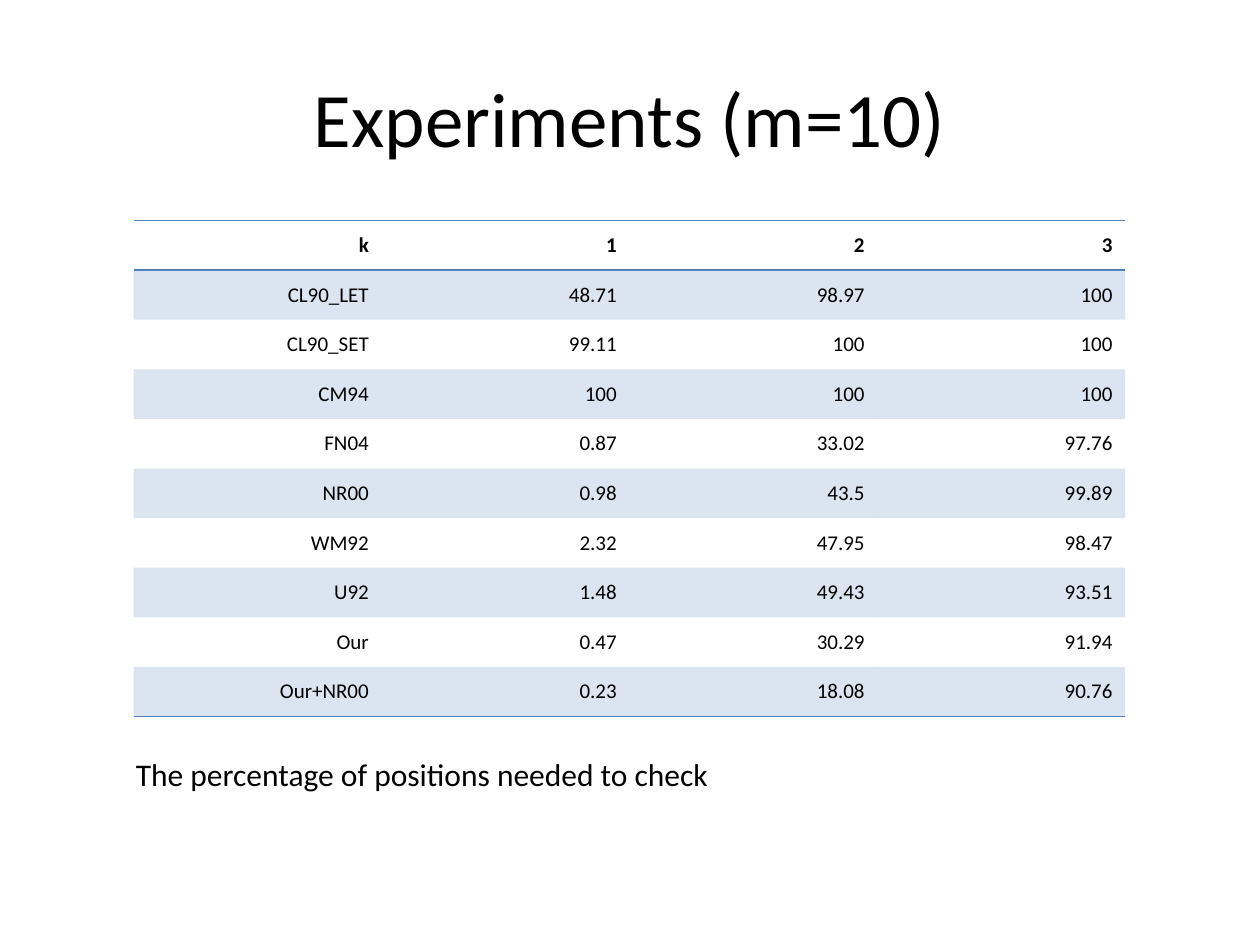
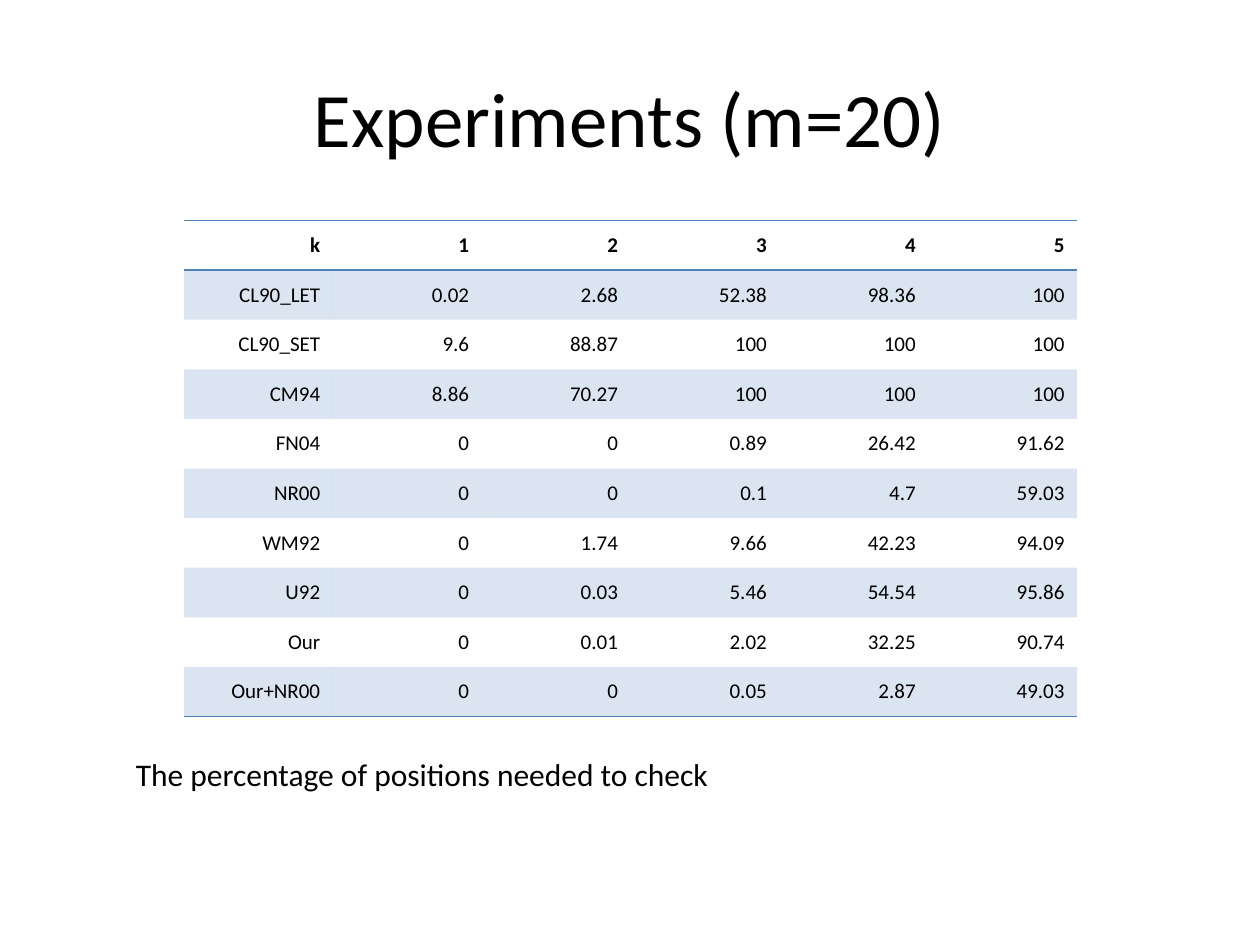
import pptx
import pptx.util
import pptx.dml.color
import pptx.enum.text
import pptx.oxml
import pptx.oxml.ns
from pptx.util import Inches

COLORS = {"text": "000000", "accent": "4F81BD"}
FONT = "Calibri"
BAND_ALPHA = 20  # percent
PLAIN_STYLE = "{2D5ABB26-0587-4C30-8999-92F81FD0307C}"
PP_ALIGN = pptx.enum.text.PP_ALIGN
MSO_ANCHOR = pptx.enum.text.MSO_ANCHOR

TITLE_BOX = (0.5, 0.3, 9, 1.25)
CAPTION_BOX = (0.98, 5.94, 5.2, 0.4)
CAPTION = "The percentage of positions needed to check"

METHODS = ["CL90_LET", "CL90_SET", "CM94", "FN04", "NR00", "WM92", "U92", "Our", "Our+NR00"]
# One row of values per method, one column per k
RESULTS_M10 = [
    ["48.71", "98.97", "100"],
    ["99.11", "100", "100"],
    ["100", "100", "100"],
    ["0.87", "33.02", "97.76"],
    ["0.98", "43.5", "99.89"],
    ["2.32", "47.95", "98.47"],
    ["1.48", "49.43", "93.51"],
    ["0.47", "30.29", "91.94"],
    ["0.23", "18.08", "90.76"],
]
RESULTS_M20 = [
    ["0.02", "2.68", "52.38", "98.36", "100"],
    ["9.6", "88.87", "100", "100", "100"],
    ["8.86", "70.27", "100", "100", "100"],
    ["0", "0", "0.89", "26.42", "91.62"],
    ["0", "0", "0.1", "4.7", "59.03"],
    ["0", "1.74", "9.66", "42.23", "94.09"],
    ["0", "0.03", "5.46", "54.54", "95.86"],
    ["0", "0.01", "2.02", "32.25", "90.74"],
    ["0", "0", "0.05", "2.87", "49.03"],
]


def rgb(name):
    return pptx.dml.color.RGBColor.from_string(COLORS[name])


def write(tf, text, size, align, bold=False):
    p = tf.paragraphs[0]
    p.text = text
    p.alignment = align
    p.font.name = FONT
    p.font.size = pptx.util.Pt(size)
    p.font.bold = bold
    p.font.color.rgb = rgb("text")


def add_text(s, box, text, size, align, anchor):
    tf = s.shapes.add_textbox(*map(Inches, box)).text_frame
    tf.word_wrap = True
    tf.vertical_anchor = anchor
    write(tf, text, size, align)


def add_border(cell, side):
    """Draw a 1 pt rule on one side of a cell ("T" or "B"); call before filling."""
    cell._tc.get_or_add_tcPr().append(pptx.oxml.parse_xml(
        f'<a:ln{side} {pptx.oxml.ns.nsdecls("a")} w="12700"><a:solidFill>'
        f'<a:srgbClr val="{COLORS["accent"]}"/></a:solidFill></a:ln{side}>'))


def fill_band(cell):
    cell.fill.solid()
    cell.fill.fore_color.rgb = rgb("accent")
    color = cell._tc.tcPr.find(".//" + pptx.oxml.ns.qn("a:solidFill") + "[last()]/..")
    color = cell._tc.tcPr.find(pptx.oxml.ns.qn("a:solidFill"))[0]
    color.append(pptx.oxml.parse_xml(
        f'<a:alpha {pptx.oxml.ns.nsdecls("a")} val="{BAND_ALPHA * 1000}"/>'))


def add_results_table(s, box, results):
    header = ["k"] + [str(k + 1) for k in range(len(results[0]))]
    rows = [header] + [[m] + values for m, values in zip(METHODS, results)]
    frame = s.shapes.add_table(len(rows), len(header), *map(Inches, box))
    frame._element.find(".//" + pptx.oxml.ns.qn("a:tableStyleId")).text = PLAIN_STYLE
    for i, row in enumerate(rows):
        for j, text in enumerate(row):
            cell = frame.table.cell(i, j)
            cell.vertical_anchor = MSO_ANCHOR.MIDDLE
            write(cell.text_frame, text, 12, PP_ALIGN.RIGHT, bold=i == 0)
            # Rules around the header and under the last row
            if i == 0:
                add_border(cell, "T")
            if i in (0, len(rows) - 1):
                add_border(cell, "B")
            # Every other row is tinted
            if i % 2:
                fill_band(cell)
            else:
                cell.fill.background()


def add_experiment_slide(prs, m, table_box, results):
    s = prs.slides.add_slide(prs.slide_layouts[6])
    add_text(s, TITLE_BOX, f"Experiments (m={m})", 44, PP_ALIGN.CENTER, MSO_ANCHOR.MIDDLE)
    add_results_table(s, table_box, results)
    add_text(s, CAPTION_BOX, CAPTION, 18, PP_ALIGN.LEFT, MSO_ANCHOR.TOP)


def main():
    prs = pptx.Presentation()
    prs.slide_width, prs.slide_height = Inches(10), Inches(7.5)
    add_experiment_slide(prs, 10, (1.06, 1.75, 7.87, 3.94), RESULTS_M10)
    add_experiment_slide(prs, 20, (1.46, 1.75, 7.09, 3.94), RESULTS_M20)
    prs.save("out.pptx")


if __name__ == "__main__":
    main()
